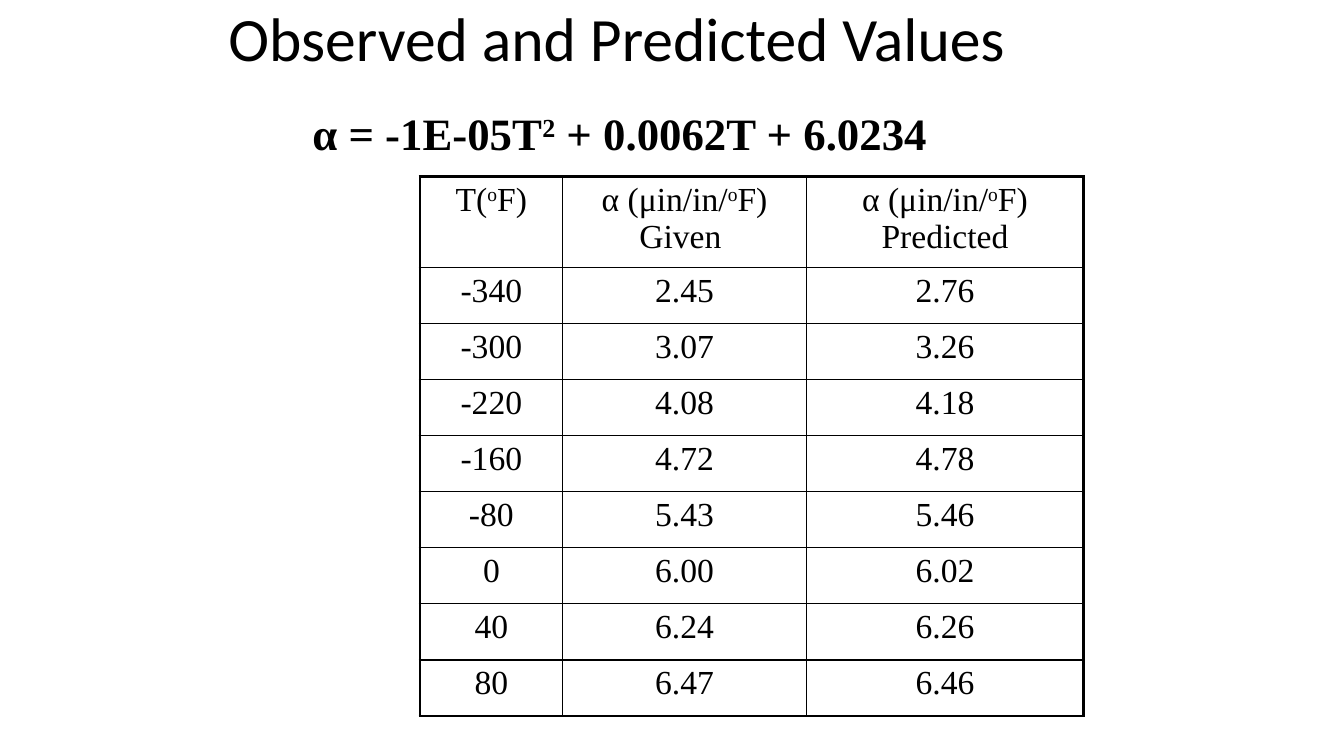
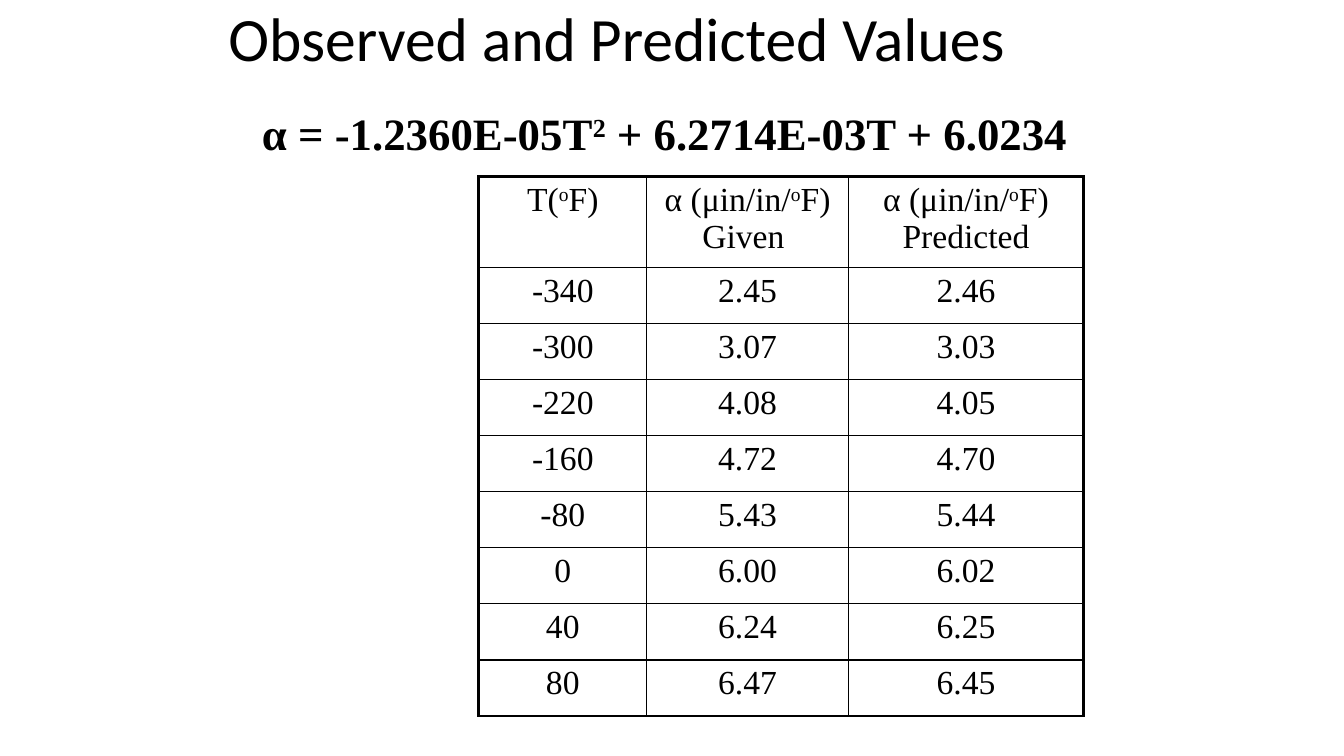
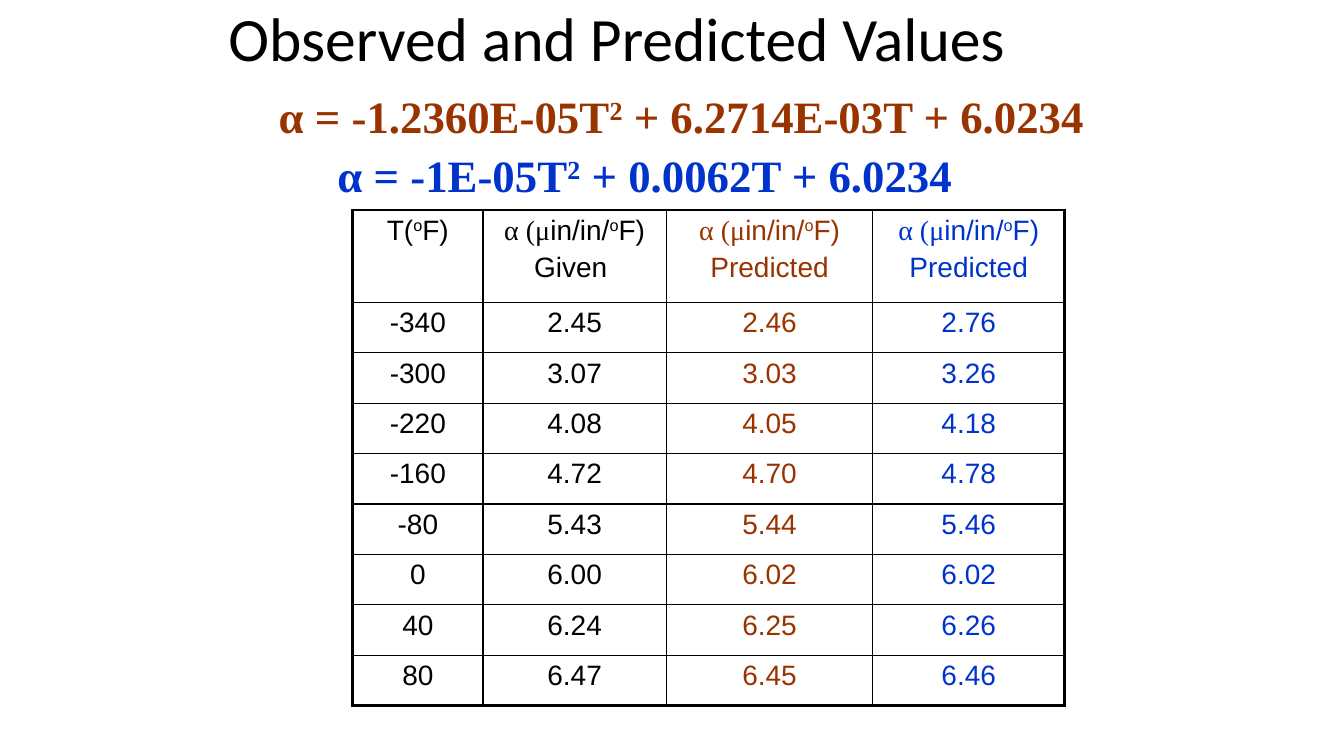
"""Build three slides comparing observed and predicted expansion coefficients."""
import lxml.etree
import pptx
import pptx.dml.color
import pptx.enum.text
import pptx.oxml.ns
import pptx.util

Pt = pptx.util.Pt
BLACK, BROWN, BLUE = "000000", "993300", "0033CC"
SERIF, SANS, HEADING = "Times New Roman", "Arial", "Calibri"

TITLE = "Observed and Predicted Values"
ROUNDED_EQUATION = [("α = -1E-05T", "plain"), ("2", "raised"), (" + 0.0062T + 6.0234", "plain")]
PRECISE_EQUATION = [("α = -1.2360E-05T", "plain"), ("2", "raised"),
                    (" + 6.2714E-03T + 6.0234", "plain")]

DEGREES = [("o", "raised"), ("F)", "plain")]
TEMPERATURE_HEADING = [[("T(", "plain")] + DEGREES]
EXPANSION_UNIT = [("α (μ", "symbol"), ("in/in/", "plain")] + DEGREES
GIVEN_HEADING = [EXPANSION_UNIT, [("Given ", "plain")]]
PREDICTED_HEADING = [EXPANSION_UNIT, [("Predicted", "plain")]]

TEMPERATURES = (TEMPERATURE_HEADING, "-340 -300 -220 -160 -80 0 40 80".split())
GIVEN = (GIVEN_HEADING, "2.45 3.07 4.08 4.72 5.43 6.00 6.24 6.47".split())
ROUNDED_FIT = (PREDICTED_HEADING, "2.76 3.26 4.18 4.78 5.46 6.02 6.26 6.46".split())
PRECISE_FIT = (PREDICTED_HEADING, "2.46 3.03 4.05 4.70 5.44 6.02 6.25 6.45".split())

LARGE_TABLE = {"top": 126, "header": 64.6, "row": 40.1, "font": SERIF, "size": 24, "gap": 0}
SMALL_TABLE = {"top": 150, "header": 66, "row": 36, "font": SANS, "size": 20, "gap": 4}

SLIDES = [
    {"equations": [(ROUNDED_EQUATION, 216, 72, 624, BLACK)],
     "table": LARGE_TABLE, "left": 300,
     "columns": [(TEMPERATURES, 102, BLACK), (GIVEN, 174, BLACK), (ROUNDED_FIT, 198, BLACK)]},
    {"equations": [(PRECISE_EQUATION, 180, 72, 612, BLACK)],
     "table": LARGE_TABLE, "left": 342,
     "columns": [(TEMPERATURES, 120, BLACK), (GIVEN, 144, BLACK), (PRECISE_FIT, 168, BLACK)]},
    {"equations": [(PRECISE_EQUATION, 192, 60, 594, BROWN),
                   (ROUNDED_EQUATION, 234, 102, 504, BLUE)],
     "table": SMALL_TABLE, "left": 252,
     "columns": [(TEMPERATURES, 93, BLACK), (GIVEN, 131, BLACK),
                 (PRECISE_FIT, 147.5, BROWN), (ROUNDED_FIT, 137, BLUE)]},
]


def rgb(value):
    return pptx.dml.color.RGBColor.from_string(value)


def write(paragraph, pieces, font, size, color, bold=False):
    for text, kind in pieces:
        run = paragraph.add_run()
        run.text = text
        look = {"name": SERIF if kind == "symbol" else font, "size": Pt(size), "bold": bold}
        for attribute, value in look.items():
            setattr(run.font, attribute, value)
        run.font.color.rgb = rgb(color)
        if kind == "raised":
            run.font._element.set("baseline", "30000")


def add_text(slide, pieces, box, font, size, color, bold, frame_look, line_spacing):
    frame = slide.shapes.add_textbox(*map(Pt, box)).text_frame
    for attribute, value in frame_look.items():
        setattr(frame, attribute, value)
    frame.paragraphs[0].line_spacing = line_spacing
    write(frame.paragraphs[0], pieces, font, size, color, bold)


def add_title(slide):
    look = {"word_wrap": True, "vertical_anchor": pptx.enum.text.MSO_ANCHOR.MIDDLE}
    add_text(slide, [(TITLE, "plain")], (156, 0, 648, 60), HEADING, 44, BLACK, False, look, 0.9)


def add_equation(slide, pieces, left, top, width, color):
    look = {"word_wrap": True, "auto_size": pptx.enum.text.MSO_AUTO_SIZE.SHAPE_TO_FIT_TEXT}
    add_text(slide, pieces, (left, top, width, 45.6), SERIF, 32, color, True, look, 1.0)


def add_borders(cell, outer_sides):
    qn = pptx.oxml.ns.qn
    properties = cell._tc.get_or_add_tcPr()
    for side, outer in zip("LRTB", outer_sides):
        width = Pt(2.25 if outer else 1)
        line = lxml.etree.SubElement(properties, qn("a:ln" + side), w=str(width))
        fill = lxml.etree.SubElement(line, qn("a:solidFill"))
        lxml.etree.SubElement(fill, qn("a:srgbClr"), val=BLACK)
    cell.fill.background()


def add_values(slide, style, left, columns):
    row_count = 1 + len(columns[0][0][1])
    heights = [style["header"]] + [style["row"]] * (row_count - 1)
    widths = [width for _, width, _ in columns]
    table = slide.shapes.add_table(row_count, len(columns), Pt(left), Pt(style["top"]),
                                   Pt(sum(widths)), Pt(sum(heights))).table
    table.first_row = table.horz_banding = False
    for row, height in zip(table.rows, heights):
        row.height = Pt(height)
    for c, ((heading, values), width, color) in enumerate(columns):
        table.columns[c].width = Pt(width)
        entries = [heading] + [[[(value, "plain")]] for value in values]
        for r, lines in enumerate(entries):
            cell = table.cell(r, c)
            add_borders(cell, (c == 0, c == len(columns) - 1, r == 0, r == row_count - 1))
            for i, pieces in enumerate(lines):
                frame = cell.text_frame
                paragraph = frame.add_paragraph() if i else frame.paragraphs[0]
                paragraph.alignment = pptx.enum.text.PP_ALIGN.CENTER
                if i:
                    paragraph.space_before = Pt(style["gap"])
                write(paragraph, pieces, style["font"], style["size"], color)


def main():
    deck = pptx.Presentation()
    deck.slide_width, deck.slide_height = Pt(960), Pt(540)
    for content in SLIDES:
        slide = deck.slides.add_slide(deck.slide_layouts[6])
        add_title(slide)
        add_values(slide, content["table"], content["left"], content["columns"])
        for equation in content["equations"]:
            add_equation(slide, *equation)
    deck.save("out.pptx")


if __name__ == "__main__":
    main()
